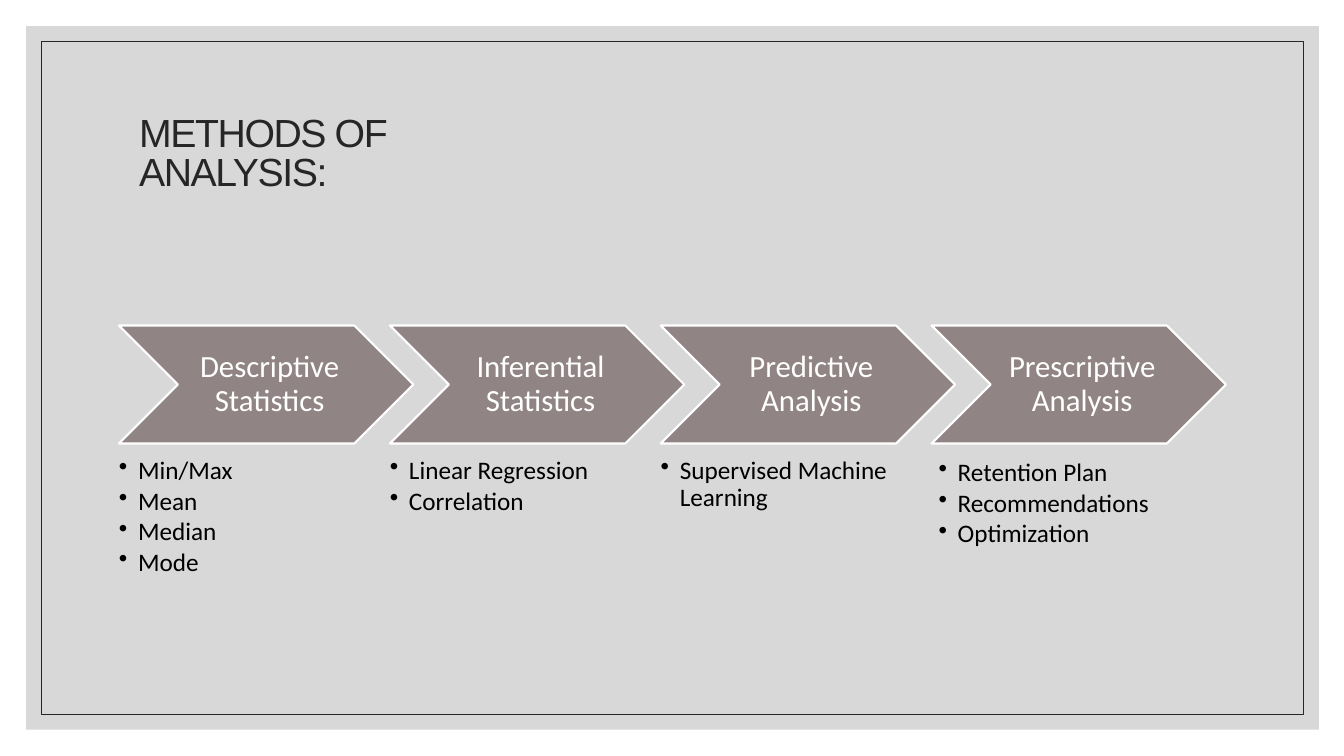
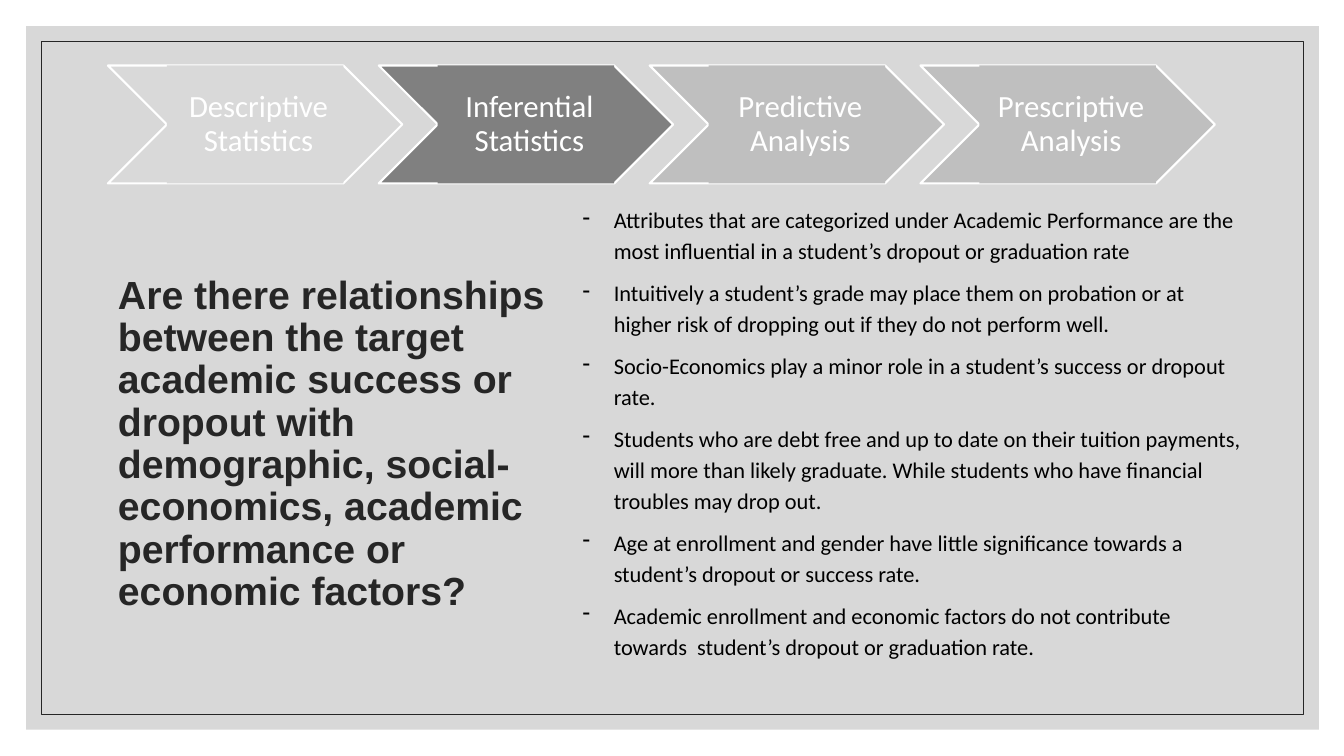
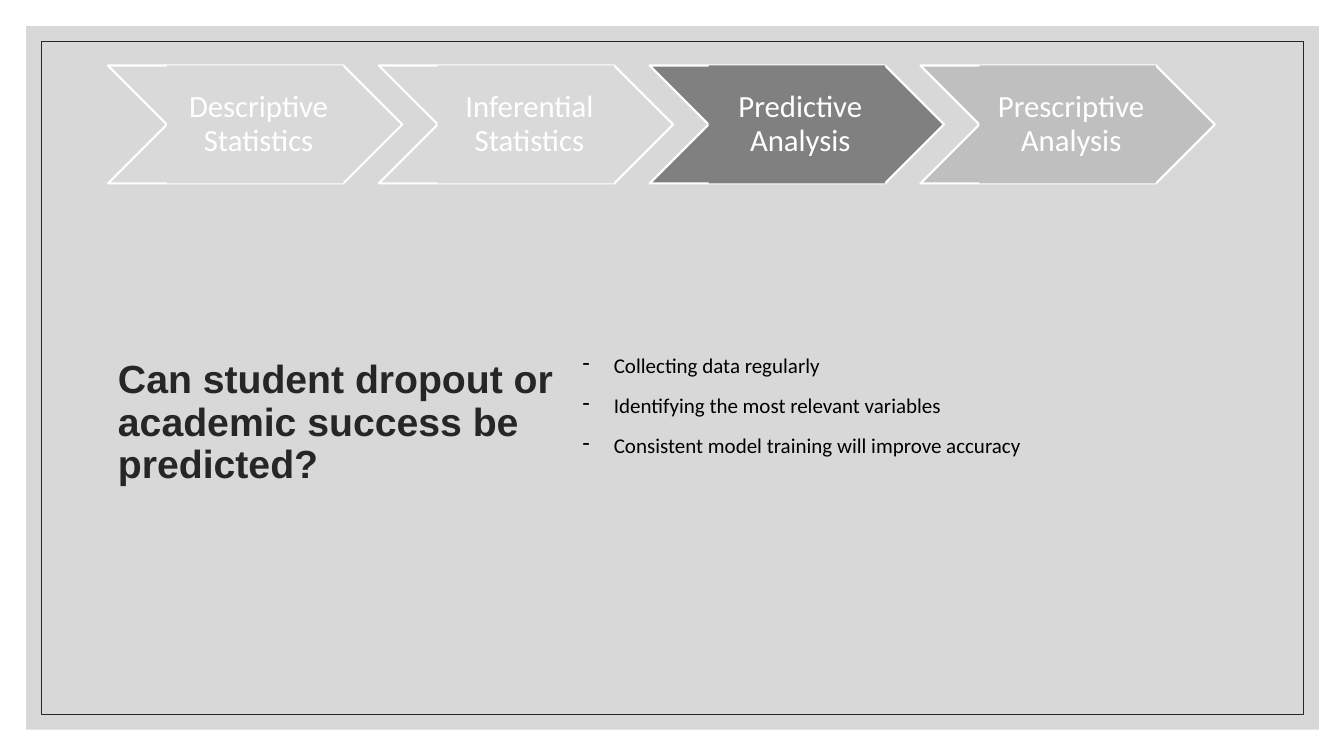
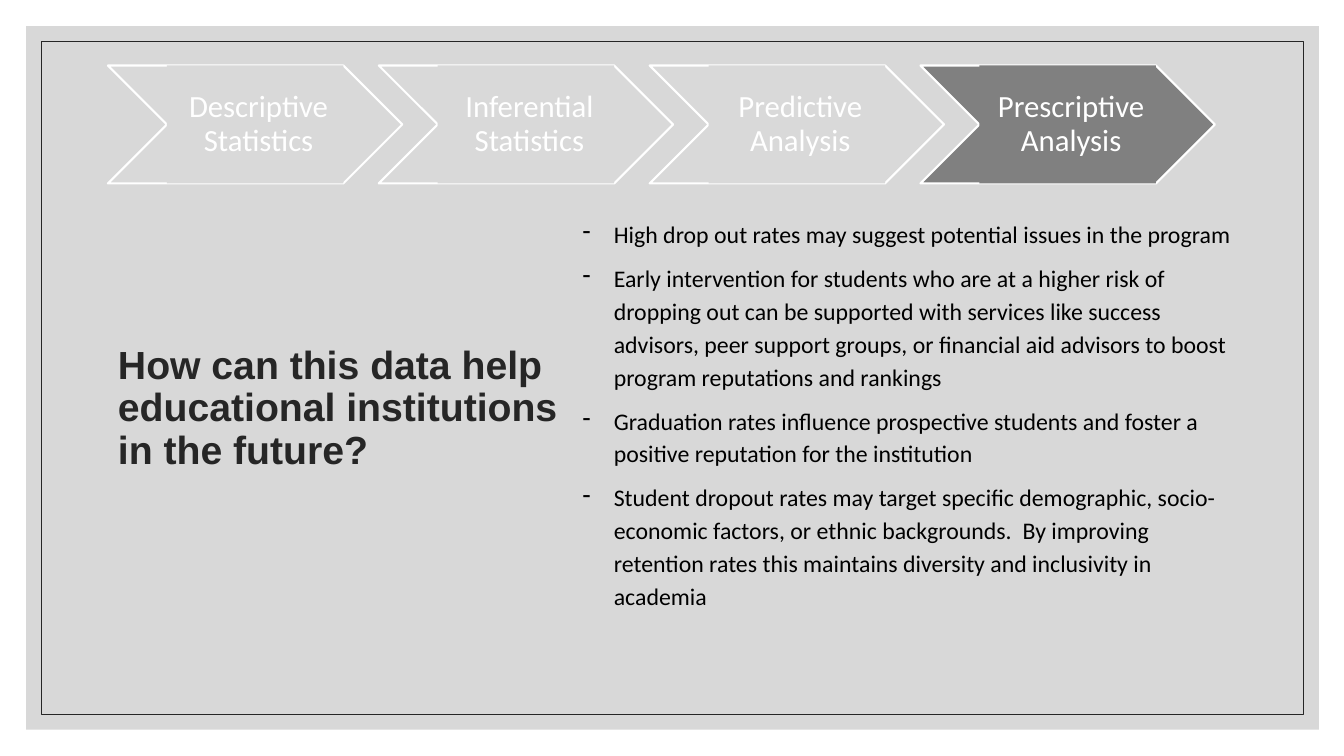
import pptx
import pptx.util
import pptx.dml.color
import pptx.enum.shapes
import pptx.enum.text
import pptx.oxml.ns
from lxml import etree

Inches = pptx.util.Inches
Pt = pptx.util.Pt
RGB = pptx.dml.color.RGBColor
Shape = pptx.enum.shapes.MSO_SHAPE
Align = pptx.enum.text.PP_ALIGN
Anchor = pptx.enum.text.MSO_ANCHOR
Fit = pptx.enum.text.MSO_AUTO_SIZE

WHITE = RGB(0xFF, 0xFF, 0xFF)
BLACK = RGB(0x00, 0x00, 0x00)
INK = RGB(0x26, 0x26, 0x26)
TAUPE = RGB(0x91, 0x84, 0x85)
DONE = RGB(0xD9, 0xD9, 0xD9)
NOW = RGB(0x80, 0x80, 0x80)
NEXT = RGB(0xBF, 0xBF, 0xBF)

STEP_W, STEP_H = 2.92, 1.17
PITCH = STEP_W * 0.92

STEPS = [
    ("Descriptive Statistics", ["Min/Max", "Mean", "Median", "Mode"]),
    ("Inferential Statistics", ["Linear Regression", "Correlation"]),
    ("Predictive Analysis", ["Supervised Machine Learning"]),
    ("Prescriptive Analysis",
     ["Retention Plan", "Recommendations", "Optimization"]),
]

# current step, question, its top, answers, their box (top, height), size
TOPICS = [
    (1, "Are there relationships between the target academic success or "
        "dropout with demographic, social-economics, academic performance "
        "or economic factors?", 2.68,
     ["Attributes that are categorized under Academic Performance are the "
      "most influential in a student’s dropout or graduation rate",
      "Intuitively a student’s grade may place them on probation or at "
      "higher risk of dropping out if they do not perform well.",
      "Socio-Economics play a minor role in a student’s success or dropout "
      "rate.",
      "Students who are debt free and up to date on their tuition payments, "
      "will more than likely graduate. While students who have financial "
      "troubles may drop out.",
      "Age at enrollment and gender have little significance towards a "
      "student’s dropout or success rate.",
      "Academic enrollment and economic factors do not contribute towards  "
      "student’s dropout or graduation rate."], (1.96, 4.66), 16),
    (2, "Can student dropout or academic success be predicted?", 3.52,
     ["Collecting data regularly",
      "Identifying the most relevant variables",
      "Consistent model training will improve accuracy"], (3.41, 1.57), 15),
    (3, "How can this data help educational institutions in the future?",
     3.38,
     ["High drop out rates may suggest potential issues in the program",
      "Early intervention for students who are at a higher risk of dropping "
      "out can be supported with services like success advisors, peer "
      "support groups, or financial aid advisors to boost program "
      "reputations and rankings",
      "Graduation rates influence prospective students and foster a "
      "positive reputation for the institution",
      "Student dropout rates may target specific demographic, "
      "socio-economic factors, or ethnic backgrounds.  By improving "
      "retention rates this maintains diversity and inclusivity in "
      "academia"], (2.09, 4.36), 17),
]


def inch(box):
    return [Inches(v) for v in box]


def put(shape, text, size, color=BLACK, font="Calibri", bold=False,
        align=Align.LEFT, anchor=Anchor.TOP, lead=0.9, after=0,
        pad=(0.1, 0.05, 0.1, 0.05), bullet=None, indent=0, track=0,
        fit=Fit.NONE):
    """Write a string, or a list of paragraphs, into a shape."""
    frame = shape.text_frame
    frame.word_wrap = True
    frame.auto_size = fit
    frame.vertical_anchor = anchor
    (frame.margin_left, frame.margin_top,
     frame.margin_right, frame.margin_bottom) = inch(pad)
    lines = [text] if isinstance(text, str) else text
    for i, line in enumerate(lines):
        para = frame.add_paragraph() if i else frame.paragraphs[0]
        para.alignment = align
        para.line_spacing = lead
        para.space_before = Pt(0)
        para.space_after = Pt(after)
        run = para.add_run()
        run.text = line
        run.font.size = Pt(size)
        run.font.name = font
        run.font.bold = bold
        run.font.color.rgb = color
        if track:
            run.font._element.set("spc", str(track * 100))
        if bullet:
            props = para._p.get_or_add_pPr()
            props.set("marL", str(Inches(indent)))
            props.set("indent", str(-Inches(indent)))
            mark = etree.SubElement(props, pptx.oxml.ns.qn("a:buChar"))
            mark.set("char", bullet)


def block(slide, kind, box, fill=None, line=None, width=0):
    shape = slide.shapes.add_shape(kind, *inch(box))
    shape.shadow.inherit = False
    if fill is None:
        shape.fill.background()
    else:
        shape.fill.solid()
        shape.fill.fore_color.rgb = fill
    if line is None:
        shape.line.fill.background()
    else:
        shape.line.color.rgb = line
        shape.line.width = Pt(width)
    return shape


def note(slide, box, text, size, **form):
    put(slide.shapes.add_textbox(*inch(box)), text, size, **form)


def title(slide, box, text, **form):
    head = slide.shapes.title
    head.left, head.top, head.width, head.height = inch(box)
    put(head, text, 28, color=INK, font="Arial", **form)


def frame(slide, layout):
    """Draw the panel and its thin border, and move both to the layout."""
    panel = block(slide, Shape.RECTANGLE, (0.26, 0.26, 12.82, 6.98), NEXT)
    tint = panel.fill._xPr.find(".//" + pptx.oxml.ns.qn("a:srgbClr"))
    etree.SubElement(tint, pptx.oxml.ns.qn("a:alpha")).set("val", "60000")
    edge = block(slide, Shape.RECTANGLE, (0.41, 0.41, 12.52, 6.68),
                 line=INK, width=0.5)
    for i, part in enumerate((panel, edge)):
        layout.shapes.element.insert(2 + i, part.element)


def chain(slide, left, top, fills, cover):
    """Draw the row of steps; cover fills the label boxes as well."""
    for i, ((name, _), fill) in enumerate(zip(STEPS, fills)):
        x = left + i * PITCH
        block(slide, Shape.CHEVRON, (x, top, STEP_W, STEP_H), fill, WHITE, 1.5)
        label = block(slide, Shape.RECTANGLE,
                      (x + STEP_H / 2, top, STEP_W - STEP_H, STEP_H),
                      fill if cover else None)
        put(label, name, 22, color=WHITE, align=Align.CENTER,
            anchor=Anchor.MIDDLE, pad=(0.1, 0.03, 0.03, 0.03))


def methods(slide):
    left, top = 1.18, 3.23
    title(slide, (1.28, 1.14, 4.02, 0.8), "METHODS OF ANALYSIS:",
          anchor=Anchor.MIDDLE, lead=0.83, track=-1)
    chain(slide, left, top, [TAUPE] * len(STEPS), False)
    for i, (_, items) in enumerate(STEPS):
        x, y = left + i * PITCH, top + 1.31
        if i == len(STEPS) - 1:
            x, y = x + 0.07, y + 0.02
        note(slide, (x, y, 2.34, 1.36), items, 18, after=2.5,
             pad=(0, 0, 0, 0), bullet="•", indent=0.19)


def topic(slide, step, ask, top, items, span, size):
    fills = [DONE] * step + [NOW] + [NEXT] * (len(STEPS) - step - 1)
    chain(slide, 1.07, 0.65, fills, True)
    title(slide, (1.07, top, 4.61, 0.8), ask, bold=True)
    note(slide, (5.68, span[0], 6.73, span[1]), items, size, lead=1.15,
         after=8, bullet="-", indent=0.31, fit=Fit.SHAPE_TO_FIT_TEXT)


def main():
    deck = pptx.Presentation()
    deck.slide_width, deck.slide_height = inch((13.33, 7.5))
    layout = deck.slide_layouts[5]
    first = deck.slides.add_slide(layout)
    frame(first, layout)
    methods(first)
    for entry in TOPICS:
        topic(deck.slides.add_slide(layout), *entry)
    deck.save("out.pptx")


if __name__ == "__main__":
    main()
